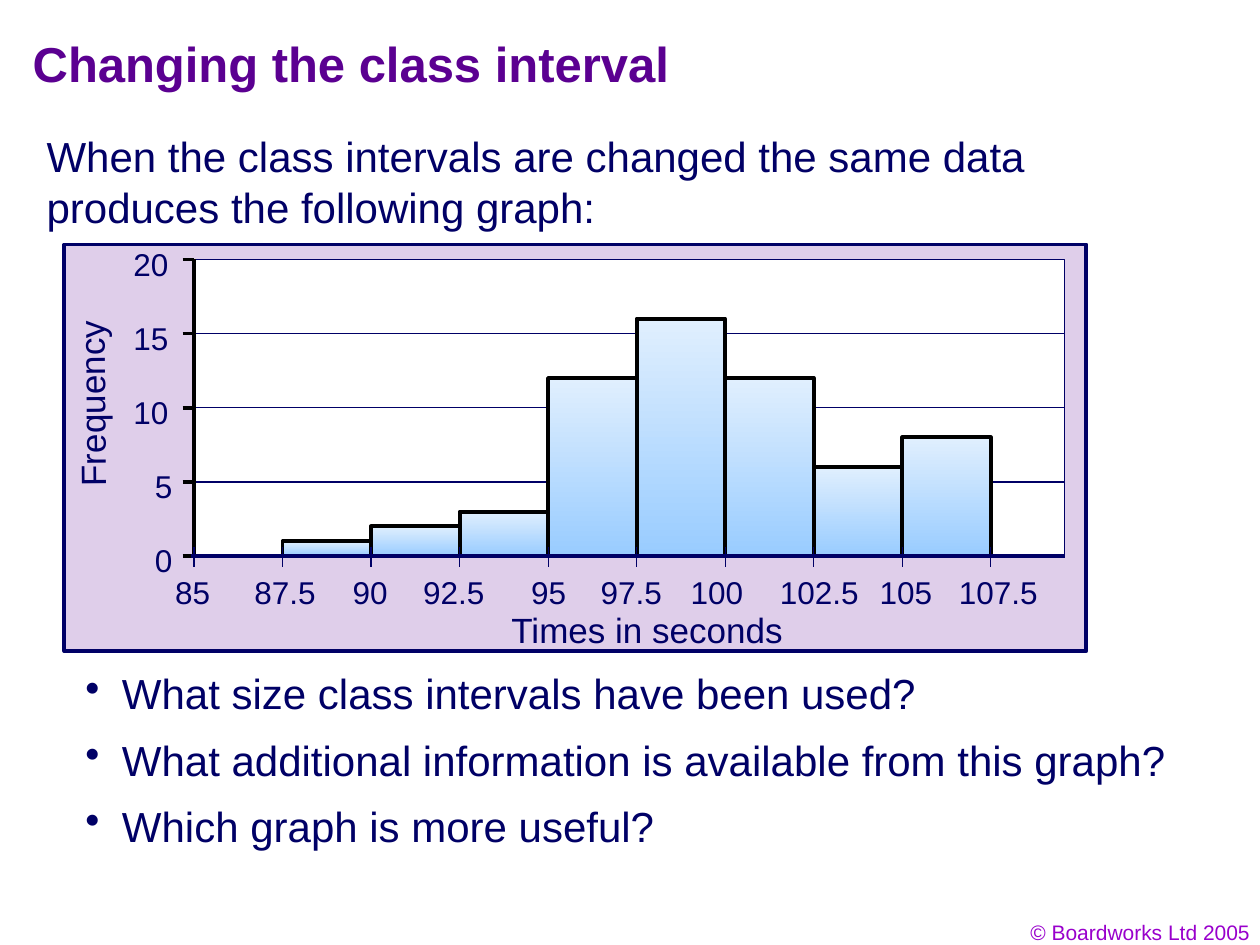
from lxml.etree import SubElement
from pptx import Presentation
from pptx.dml.color import RGBColor
from pptx.enum.shapes import MSO_CONNECTOR, MSO_SHAPE
from pptx.enum.text import MSO_ANCHOR, PP_ALIGN
from pptx.oxml.ns import qn
from pptx.util import Cm, Pt

NAVY, BLACK, WHITE = "000066", "000000", "FFFFFF"
PURPLE, VIOLET, LILAC = "5B0091", "9900CC", "DFCEEA"
BAR_TOP, BAR_BOTTOM = "E0EFFE", "99CCFF"

# Plot area, in cm
LEFT, TOP, WIDTH, BOTTOM = 3.91, 5.23, 17.55, 11.21
CLASS_WIDTH = 1.785
MAX_FREQUENCY, STEP = 20, 5
UNIT = (BOTTOM - TOP) / MAX_FREQUENCY

FREQUENCIES = [0, 1, 2, 3, 12, 16, 12, 6, 8]
# Class boundary and left edge of its label
BOUNDARIES = [("85", 3.28), ("87.5", 4.88), ("90", 6.86), ("92.5", 8.28),
              ("95", 10.46), ("97.5", 11.86), ("100", 13.67),
              ("102.5", 15.47), ("105", 17.48), ("107.5", 19.08)]
QUESTIONS = ["What size class intervals have been used?",
             "What additional information is available from this graph?",
             "Which graph is more useful?"]


def rgb(value):
    return RGBColor.from_string(value)


def number_width(text):
    """Width in cm of a number set in 18 pt Arial."""
    dots = text.count(".")
    return 0.353 * (len(text) - dots) + 0.177 * dots


def write(p, text, size=24, color=NAVY, bold=False, font="Arial"):
    r = p.add_run()
    r.text = text
    r.font.name, r.font.size, r.font.bold = font, Pt(size), bold
    r.font.color.rgb = rgb(color)


class Canvas:
    def __init__(self, slide, line_color=NAVY, line_width=0.75):
        self.s = slide
        self.line_color = line_color
        self.line_width = line_width

    def _stroke(self, line, color, width):
        line.color.rgb = rgb(color or self.line_color)
        line.width = Pt(self.line_width if width is None else width)

    def text(self, x, y, w, h, *lines, align=PP_ALIGN.LEFT, wrap=True,
             anchor=MSO_ANCHOR.TOP, inset=True, rotation=0, bullet=False,
             **style):
        sp = self.s.shapes.add_textbox(Cm(x), Cm(y), Cm(w), Cm(h))
        sp.rotation = rotation
        tf = sp.text_frame
        tf.word_wrap = wrap
        tf.vertical_anchor = anchor
        if not inset:
            tf.margin_left = tf.margin_right = 0
            tf.margin_top = tf.margin_bottom = 0
        for i, line in enumerate(lines):
            p = tf.add_paragraph() if i else tf.paragraphs[0]
            if bullet:
                self._bullet(p)
            if i:
                p.space_before = Pt(9)
            p.alignment = align
            write(p, line, **style)

    def _bullet(self, p):
        pPr = p._p.get_or_add_pPr()
        pPr.set("marL", str(Cm(0.74)))
        pPr.set("indent", str(-Cm(0.74)))
        color = SubElement(pPr, qn("a:buClr"))
        SubElement(color, qn("a:srgbClr"), val=NAVY)
        SubElement(pPr, qn("a:buChar"), char="•")

    def rect(self, x, y, w, h, fill, color=None, width=None):
        """Draw a rectangle; a pair of fills gives a downward gradient."""
        sp = self.s.shapes.add_shape(MSO_SHAPE.RECTANGLE,
                                     Cm(x), Cm(y), Cm(w), Cm(h))
        sp.shadow.inherit = False
        if isinstance(fill, tuple):
            sp.fill.gradient()
            sp.fill.gradient_angle = 270
            for stop, position, shade in zip(sp.fill.gradient_stops,
                                             (0, 1), fill):
                stop.position = position
                stop.color.rgb = rgb(shade)
        else:
            sp.fill.solid()
            sp.fill.fore_color.rgb = rgb(fill)
        self._stroke(sp.line, color, width)

    def line(self, x1, y1, x2, y2, color=None, width=None):
        cxn = self.s.shapes.add_connector(MSO_CONNECTOR.STRAIGHT,
                                          Cm(x1), Cm(y1), Cm(x2), Cm(y2))
        self._stroke(cxn.line, color, width)
        SubElement(cxn._element.spPr, qn("a:effectLst"))


def draw_histogram(c):
    c.rect(1.3, 4.93, 20.6, 8.2, LILAC, width=2.25)
    c.text(10.06, 12.14, 6, 1.12, "Times in seconds", size=20, wrap=False)
    c.text(-0.41, 7.24, 4.52, 1.12, "Frequency", size=20, rotation=269.5)

    band = STEP * UNIT
    for i in range(MAX_FREQUENCY // STEP):
        c.rect(LEFT, TOP + i * band, WIDTH, band, WHITE)
    for i, frequency in enumerate(FREQUENCIES):
        if frequency:
            height = frequency * UNIT
            c.rect(LEFT + i * CLASS_WIDTH, BOTTOM - height, CLASS_WIDTH,
                   height, (BAR_TOP, BAR_BOTTOM), BLACK, 2.25)

    c.line(LEFT, TOP, LEFT, BOTTOM, BLACK, 2.25)
    for value in range(0, MAX_FREQUENCY + 1, STEP):
        y = BOTTOM - value * UNIT
        c.line(LEFT - 0.23, y, LEFT, y, BLACK, 0)
        c.text(2.69 if value >= 10 else 3.12, y - 0.3,
               number_width(str(value)), 0.76, str(value),
               size=18, inset=False, wrap=False)

    c.line(LEFT - 0.05, BOTTOM, LEFT + WIDTH, BOTTOM, width=2.25)
    for i, (label, x) in enumerate(BOUNDARIES):
        tick = LEFT + i * CLASS_WIDTH
        c.line(tick, BOTTOM - 0.19, tick, BOTTOM + 0.22)
        c.text(x, 11.43, number_width(label) + 0.51, 1.02, label,
               size=18, wrap=False)


def main():
    prs = Presentation()
    prs.slide_width, prs.slide_height = Cm(25.4), Cm(19.05)
    c = Canvas(prs.slides.add_slide(prs.slide_layouts[6]))
    c.text(19.53, 18.42, 5.92, 0.76, "© Boardworks Ltd 2005",
           size=12, color=VIOLET, align=PP_ALIGN.RIGHT)
    c.text(0.41, 0.41, 21.59, 1.7, "Changing the class interval",
           size=28, color=PURPLE, bold=True, anchor=MSO_ANCHOR.MIDDLE)
    c.text(0.69, 2.51, 23.85, 2.29,
           "When the class intervals are changed the same data "
           "produces the following graph:", color="010066")
    c.text(1.47, 13.34, 22.43, 3.94, *QUESTIONS, bullet=True)
    draw_histogram(c)
    prs.save("out.pptx")


if __name__ == "__main__":
    main()
